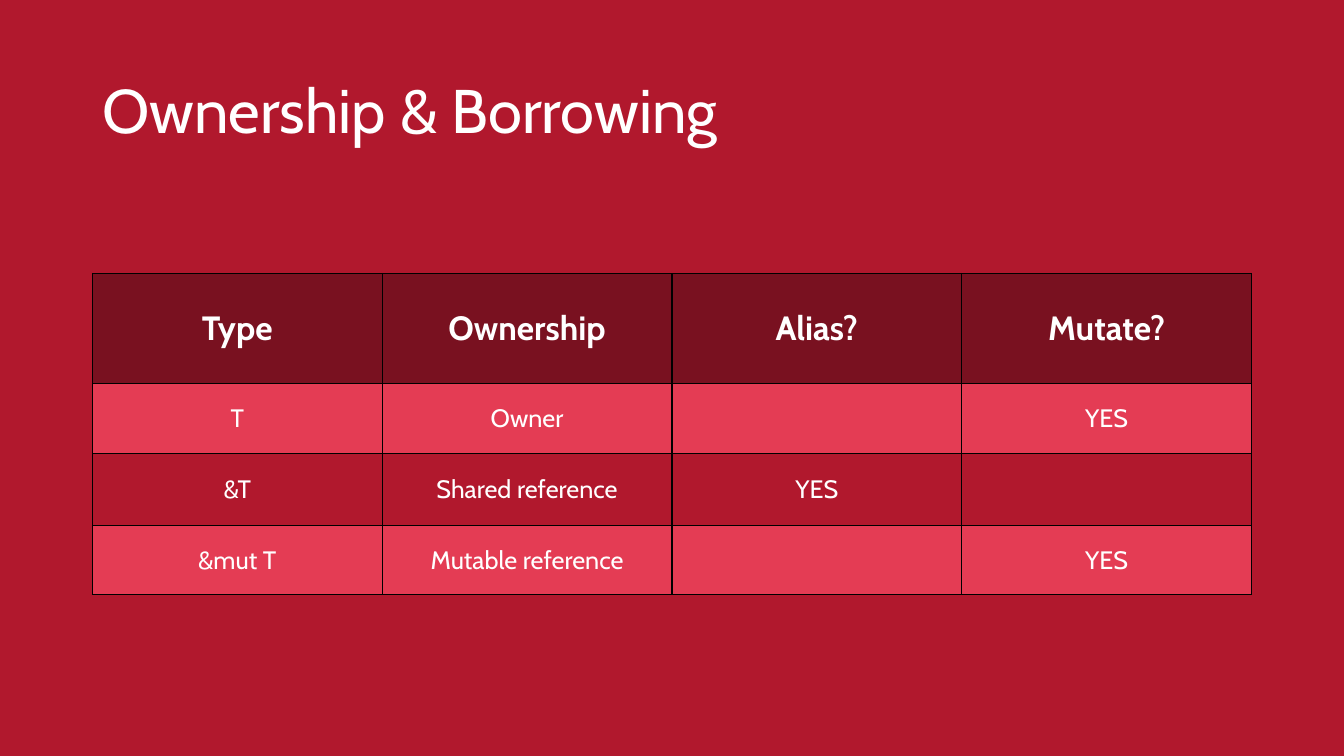
from lxml.etree import SubElement
from pptx import Presentation
from pptx.dml.color import RGBColor
from pptx.enum.text import MSO_ANCHOR as Anchor, PP_ALIGN as Align
from pptx.oxml.ns import qn
from pptx.util import Pt

FONT = "Cabin"
WHITE = "FFFFFF"
BACKGROUND = "B1182D"
HEADER_FILL = "791120"
BAND_FILL = "E43C54"
BORDER = "000000"
ROWS = [
    ("Type", "Ownership", "Alias?", "Mutate?"),
    ("T", "Owner", "", "YES"),
    ("&T", "Shared reference", "YES", ""),
    ("&mut T", "Mutable reference", "", "YES"),
]
ROW_HEIGHTS = (78.5, 50.4, 51.1, 49.7)


def color(hex_string):
    """Return the colour for a hex string."""
    return RGBColor.from_string(hex_string)


def style_font(paragraph, size, bold=False):
    """Set the slide's typeface in white on a paragraph."""
    font = paragraph.font
    font.name, font.size, font.bold = FONT, Pt(size), bold
    font.color.rgb = color(WHITE)


def add_borders(cell, width):
    """Draw a solid line on each side of a cell."""
    properties = cell._tc.get_or_add_tcPr()
    for index, side in enumerate(("lnL", "lnR", "lnT", "lnB")):
        line = properties.makeelement(qn(f"a:{side}"), {"w": str(Pt(width))})
        fill = SubElement(line, qn("a:solidFill"))
        SubElement(fill, qn("a:srgbClr"), val=BORDER)
        properties.insert(index, line)


def add_title(slide, left, top, width, height):
    """Place the slide title in its box."""
    box = slide.shapes.add_textbox(Pt(left), Pt(top), Pt(width), Pt(height))
    frame = box.text_frame
    frame.word_wrap = True
    frame.vertical_anchor = Anchor.MIDDLE
    paragraph = frame.paragraphs[0]
    paragraph.text = "Ownership & Borrowing"
    paragraph.line_spacing = 0.9
    style_font(paragraph, 44)


def fill_cell(cell, text, row_index):
    """Write and style one cell according to its row."""
    is_header = row_index == 0
    cell.vertical_anchor = Anchor.MIDDLE
    paragraph = cell.text_frame.paragraphs[0]
    paragraph.text = text
    paragraph.alignment = Align.CENTER
    style_font(paragraph, 24 if is_header else 18, is_header)
    if is_header or row_index % 2:
        cell.fill.solid()
        cell.fill.fore_color.rgb = color(HEADER_FILL if is_header else BAND_FILL)
    else:
        cell.fill.background()
    add_borders(cell, 1)


def add_ownership_table(slide, left, top, width):
    """Place the table of types with equal columns."""
    frame = slide.shapes.add_table(
        len(ROWS), len(ROWS[0]), Pt(left), Pt(top), Pt(width), Pt(sum(ROW_HEIGHTS))
    )
    table = frame.table
    for column in table.columns:
        column.width = Pt(width / len(ROWS[0]))
    for row_index, (texts, height) in enumerate(zip(ROWS, ROW_HEIGHTS)):
        table.rows[row_index].height = Pt(height)
        for column_index, text in enumerate(texts):
            fill_cell(table.cell(row_index, column_index), text, row_index)


def main():
    """Build the slide and save it."""
    presentation = Presentation()
    presentation.slide_width, presentation.slide_height = Pt(960), Pt(540)
    slide = presentation.slides.add_slide(presentation.slide_layouts[6])
    background = slide.background.fill
    background.solid()
    background.fore_color.rgb = color(BACKGROUND)
    add_title(slide, 66, 28.75, 828, 104.4)
    add_ownership_table(slide, 66, 195.25, 828)
    presentation.save("out.pptx")


if __name__ == "__main__":
    main()
